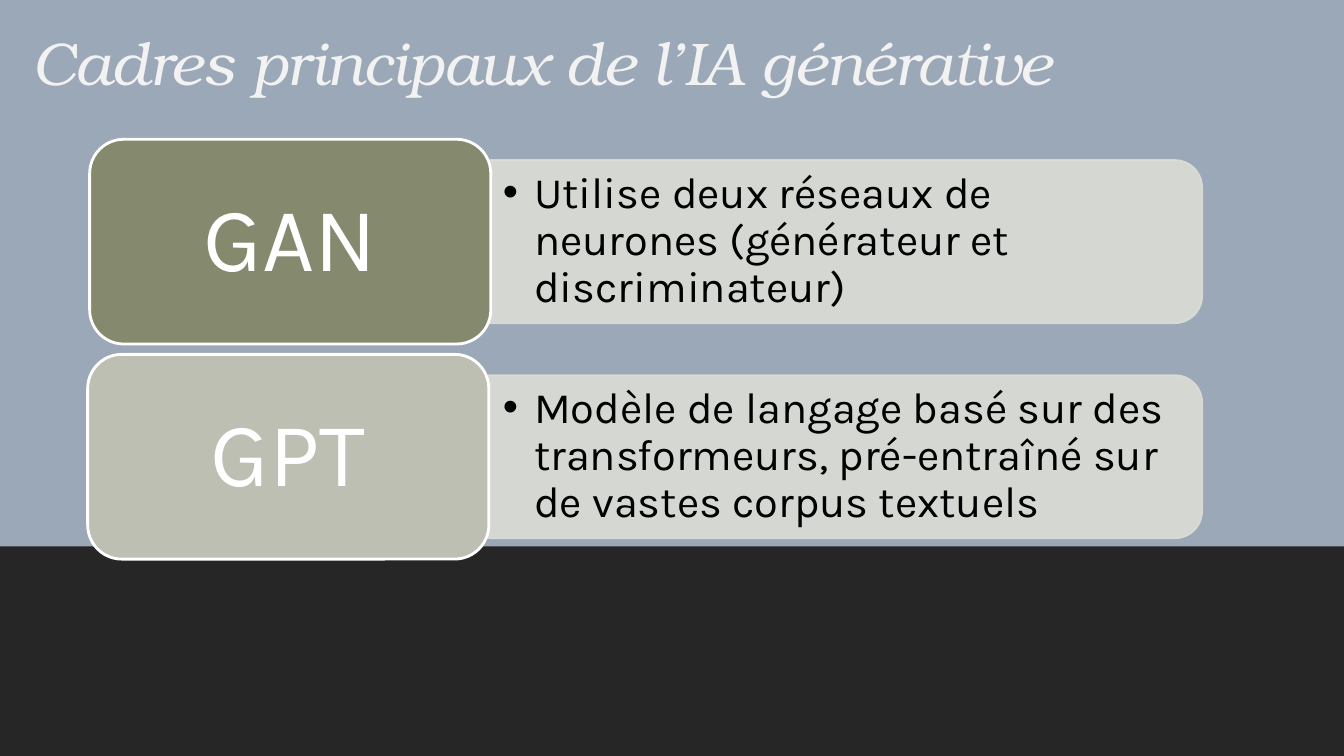
"""Build the slide on the main frameworks of generative AI."""
import pptx
import pptx.util
import pptx.dml.color
import pptx.enum.shapes
import pptx.enum.text
import pptx.oxml.ns
from lxml import etree

Cm, Pt = pptx.util.Cm, pptx.util.Pt
KIND = pptx.enum.shapes.MSO_SHAPE
TEXT = pptx.enum.text
HUE = {"sky": "9BA8B7", "night": "262626", "title": "F2F2F2", "panel": "DCDDD7",
       "olive": "858A6F", "sage": "BCBFB1", "white": "FFFFFF", "black": "000000"}
ROWS = [
    ("GAN", "olive", 2.26, "Utilise deux réseaux de neurones (générateur et discriminateur)"),
    ("GPT", "sage", 2.21, "Modèle de langage basé sur des transformeurs, "
                          "pré-entraîné sur de vastes corpus textuels"),
]
STEP = 5.42

deck = pptx.Presentation()
deck.slide_width, deck.slide_height = Cm(33.87), Cm(19.05)
slide = deck.slides.add_slide(deck.slide_layouts[3])
title, *lists = slide.placeholders


def block(kind, box, hue, edge=None, width=0):
    """Add a filled shape, with an outline if an edge colour is given."""
    shape = slide.shapes.add_shape(kind, *map(Cm, box))
    shape.shadow.inherit = False
    shape.fill.solid()
    shape.fill.fore_color.rgb = pptx.dml.color.RGBColor.from_string(HUE[hue])
    if edge:
        shape.line.color.rgb = pptx.dml.color.RGBColor.from_string(HUE[edge])
        shape.line.width = Pt(width)
    else:
        shape.line.fill.background()
    return shape


def write(shape, text, hue, font, para, pads):
    """Put one formatted paragraph into a shape."""
    frame = shape.text_frame
    frame.text = text
    frame.word_wrap = True
    frame.auto_size = TEXT.MSO_AUTO_SIZE.NONE
    frame.vertical_anchor = TEXT.MSO_ANCHOR.MIDDLE
    frame.margin_left = frame.margin_right = Cm(pads[0])
    frame.margin_top = frame.margin_bottom = Cm(pads[1])
    line = frame.paragraphs[0]
    for part, form in ((line, para), (line.runs[0].font, font)):
        for key, value in form.items():
            setattr(part, key, value)
    line.runs[0].font.color.rgb = pptx.dml.color.RGBColor.from_string(HUE[hue])
    return line


left = {"alignment": TEXT.PP_ALIGN.LEFT, "line_spacing": 0.9, "space_before": Pt(0)}
mid = left | {"alignment": TEXT.PP_ALIGN.CENTER}
head = {"name": "TeX Gyre Bonum", "size": Pt(43), "italic": True}
label = {"name": "Karla", "size": Pt(65)}
body = {"name": "Karla", "size": Pt(31)}

block(KIND.RECTANGLE, (0, 0, 33.87, 19.05), "sky")
block(KIND.RECTANGLE, (0, 13.77, 33.87, 5.28), "night")

title.left, title.top, title.width, title.height = map(Cm, (0.56, 0.46, 30.25, 2.41))
line = write(title, "Cadres principaux de l’IA générative", "title", head, left, (0.25, 0.13))
line.runs[0].font._element.set("spc", "-50")
title.element.getparent().append(title.element)

for i, (name, hue, x, text) in enumerate(ROWS):
    down = i * STEP
    panel = block(KIND.ROUND_2_SAME_RECTANGLE, (19.25, down - 2.9, 4.11, 17.98),
                  "panel", "panel", 1.25)
    panel.rotation = 90
    for tint in panel.element.spPr.iter(pptx.oxml.ns.qn("a:srgbClr")):
        etree.SubElement(tint, pptx.oxml.ns.qn("a:alpha"), val="90000")

    item = lists[i]
    item.left, item.top, item.width, item.height = map(Cm, (12.34, 4.22 + down, 17.78, 3.71))
    line = write(item, text, "black", body, left, (0.33, 0.15))
    props = line._p.get_or_add_pPr()
    props.set("marL", str(Cm(0.79)))
    props.set("indent", str(Cm(-0.79)))
    etree.SubElement(props, pptx.oxml.ns.qn("a:buChar"), char="•")
    item.element.getparent().append(item.element)

    tile = block(KIND.ROUNDED_RECTANGLE, (x, 3.51 + down, 10.11, 5.16), hue, "white", 2)
    write(tile, name, "white", label, mid, (0.69, 0.36))

deck.save("out.pptx")
